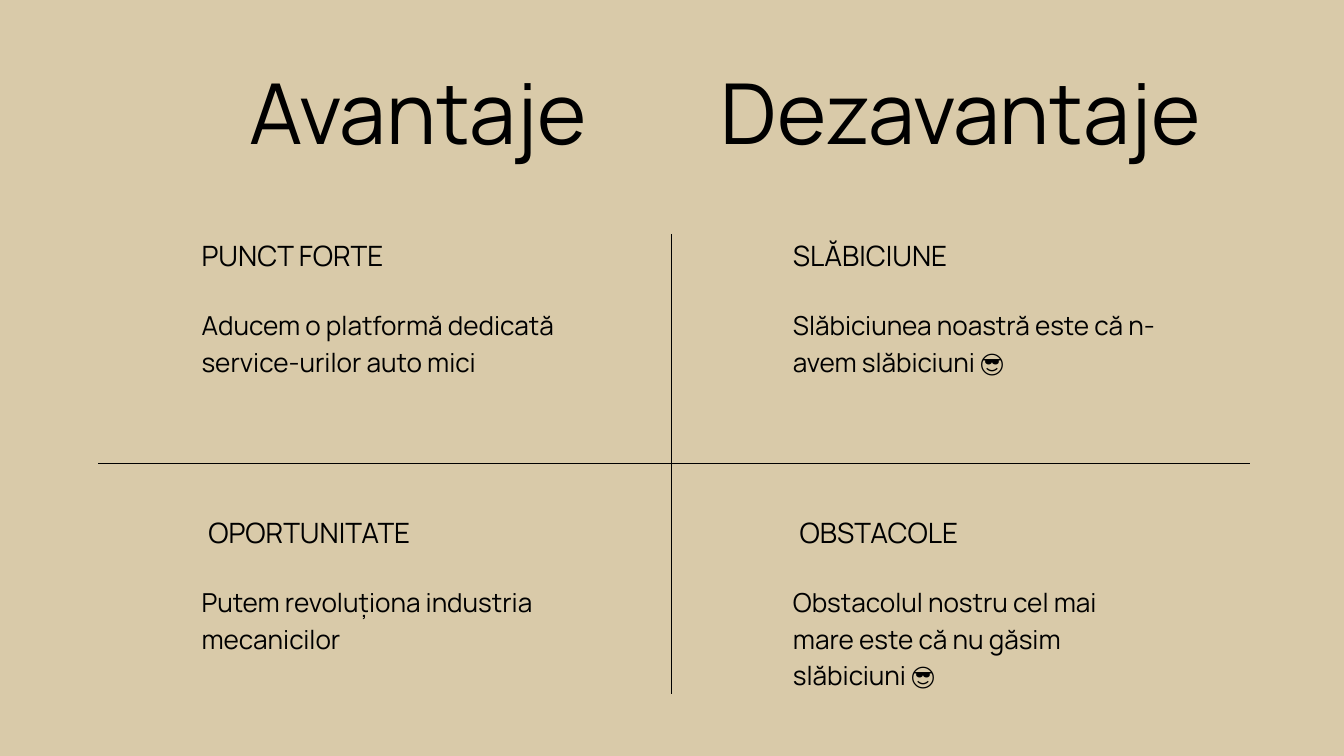
from lxml.etree import SubElement
from pptx import Presentation
from pptx.dml.color import RGBColor
from pptx.enum.shapes import MSO_CONNECTOR
from pptx.enum.text import MSO_ANCHOR, MSO_AUTO_SIZE, PP_ALIGN
from pptx.oxml.ns import qn
from pptx.util import Inches, Pt

COLORS = {"sand": "D9CAA9", "ink": "000000"}
FONT = "Manrope"


def color(name):
    """Return a palette colour."""
    return RGBColor.from_string(COLORS[name])


def write(shape, box, text, size, lead, align=PP_ALIGN.LEFT):
    """Place a text shape in its box and format its one paragraph."""
    shape.left, shape.top, shape.width, shape.height = map(Inches, box)
    frame = shape.text_frame
    frame.text = text
    frame.word_wrap = True
    frame.auto_size = MSO_AUTO_SIZE.NONE
    frame.vertical_anchor = MSO_ANCHOR.TOP
    frame.margin_left = frame.margin_right = 0
    frame.margin_top = frame.margin_bottom = 0
    para = frame.paragraphs[0]
    para.alignment = align
    para.line_spacing = Pt(lead)
    para.space_before = Pt(0)
    font = para.runs[0].font
    font.name, font.size = FONT, Pt(size)
    font.color.rgb = color("ink")


def add_text(slide, box, *style):
    """Add a text box and write in it."""
    write(slide.shapes.add_textbox(*map(Inches, box)), box, *style)


def add_line(slide, start, end):
    """Draw one thin rule without a shadow."""
    line = slide.shapes.add_connector(
        MSO_CONNECTOR.STRAIGHT, *map(Inches, start + end))
    line.line.color.rgb = color("ink")
    line.line.width = Pt(1.5)
    SubElement(line._element.spPr, qn("a:effectLst"))


def add_cross(slide, left, top, width, height, mid_x, mid_y):
    """Draw the cross that parts the four fields."""
    add_line(slide, (left, mid_y), (left + width, mid_y))
    add_line(slide, (mid_x, top), (mid_x, top + height))


def add_heads(slide):
    """Write the two column titles."""
    write(slide.shapes.title, (2.68, 1.15, 6.05, 1.31),
          "Avantaje", 90, 90, PP_ALIGN.RIGHT)
    add_text(slide, (10.12, 1.15, 8.35, 1.31),
             "Dezavantaje", 90, 90, PP_ALIGN.CENTER)


def add_field(slide, left, top, width, height, head, body, shift):
    """Write a heading and its text in one field of the grid."""
    add_text(slide, (left + shift, top, 3.9, 0.45), head, 30, 30)
    drop = 0.9
    add_text(slide, (left, top + drop, width, height - drop), body, 28, 39.2)


def add_grid(slide, lefts, tops, widths):
    """Fill the four fields, row by row."""
    rows = [
        [("PUNCT FORTE",
          "Aducem o platformă dedicată service-urilor auto mici"),
         ("SLĂBICIUNE",
          "Slăbiciunea noastră este că n-avem slăbiciuni 😎")],
        [("OPORTUNITATE", "Putem revoluționa industria mecanicilor"),
         ("OBSTACOLE",
          "Obstacolul nostru cel mai mare este că nu găsim slăbiciuni 😎")],
    ]
    for top, row, spans, shift in zip(tops, rows, widths, (0, 0.1)):
        for left, width, (head, body) in zip(lefts, spans, row):
            add_field(slide, left, top, width, 2.51, head, body, shift)


def main():
    """Build and save the slide."""
    deck = Presentation()
    deck.slide_width, deck.slide_height = Inches(20), Inches(11.25)
    slide = deck.slides.add_slide(deck.slide_layouts.get_by_name("Title Only"))
    fill = slide.background.fill
    fill.solid()
    fill.fore_color.rgb = color("sand")
    add_cross(slide, 1.46, 3.48, 17.14, 6.85, 9.99, 6.9)
    add_heads(slide)
    add_grid(slide, (3, 11.8), (3.63, 7.75), ((5.4, 5.83), (5.4, 4.98)))
    deck.save("out.pptx")


if __name__ == "__main__":
    main()
